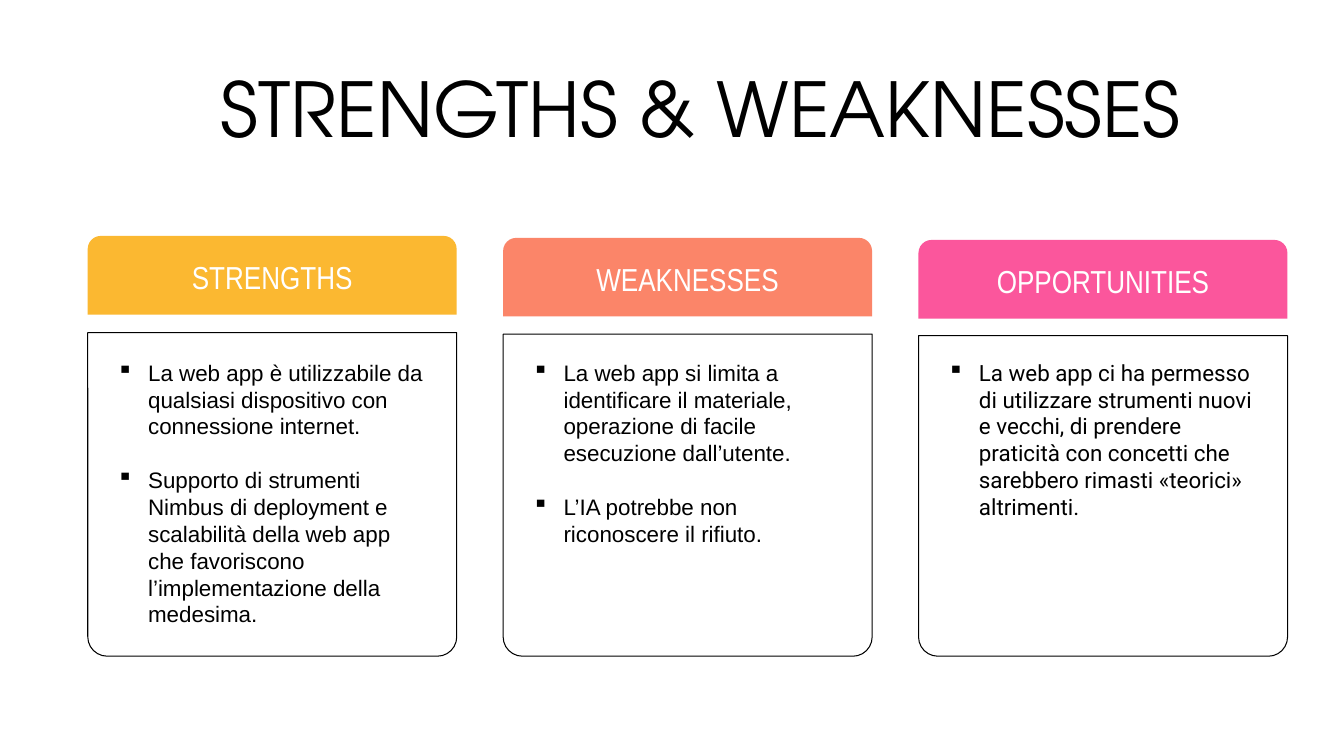
from lxml import etree
from pptx import Presentation, util as u
from pptx.dml.color import RGBColor
from pptx.enum import shapes, text
from pptx.oxml import ns

prs = Presentation()
prs.slide_width, prs.slide_height = u.Inches(13.33), u.Inches(7.5)
s = prs.slides.add_slide(prs.slide_layouts[6])


def rgb(value):
    return RGBColor.from_string(value)


def write(sp, lines, font, size, color, centred=True):
    """Fill a shape with paragraphs and return them."""
    tf = sp.text_frame
    tf.word_wrap = True
    tf.margin_left = tf.margin_right = tf.margin_top = tf.margin_bottom = u.Inches(0.13)
    tf.vertical_anchor = text.MSO_ANCHOR.MIDDLE if centred else text.MSO_ANCHOR.TOP
    tf.text = "\n".join(lines)
    for p in tf.paragraphs:
        p.alignment = text.PP_ALIGN.CENTER if centred else text.PP_ALIGN.LEFT
        p.font.name, p.font.size = font, u.Pt(size)
        p.font.color.rgb = rgb(color)
    return tf.paragraphs


# Column grid
left, pitch, width = 0.87, 4.12, 3.66
head_top, head_height, head_step = 2.34, 0.78, 0.02
card_top, card_bottom, card_step = 3.3, 6.51, 0.015
inset, text_top, text_height = 0.16, 3.43, 2.73
indent, line_pitch = 0.31, 19.2

columns = [
    ("STRENGTHS", "FBB831", "Arial", [
        "La web app è utilizzabile da qualsiasi dispositivo con connessione internet.",
        "Supporto di strumenti Nimbus di deployment e scalabilità della web app "
        "che favoriscono l’implementazione della medesima."]),
    ("WEAKNESSES", "FB8569", "Arial", [
        "La web app si limita a identificare il materiale, operazione di facile "
        "esecuzione dall’utente.",
        "L’IA potrebbe non riconoscere il rifiuto."]),
    ("OPPORTUNITIES", "FB569C", "Roboto", [
        "La web app ci ha permesso di utilizzare strumenti nuovi e vecchi, di prendere "
        "praticità con concetti che sarebbero rimasti «teorici» altrimenti."]),
]

# Title
title = s.shapes.add_textbox(u.Inches(left), u.Inches(0.46), u.Inches(12.16), u.Inches(1.21))
write(title, ["STRENGTHS & WEAKNESSES"], "TeX Gyre Adventor", 54, "000000")

for i, (heading, color, font, points) in enumerate(columns):
    x = left + i * pitch

    # Card outline, rounded at the bottom
    top = card_top + i * card_step
    card = s.shapes.add_shape(shapes.MSO_SHAPE.ROUND_2_SAME_RECTANGLE, u.Inches(x),
                              u.Inches(top), u.Inches(width), u.Inches(card_bottom - top))
    card.rotation = 180
    card.adjustments[0] = 0.06
    card.shadow.inherit = False
    card.fill.background()
    card.line.color.rgb = rgb("000000")
    card.line.width = u.Pt(0.75)

    # Bulleted points
    body = s.shapes.add_textbox(u.Inches(x + inset), u.Inches(text_top),
                                u.Inches(width - 2 * inset), u.Inches(text_height))
    for n, p in enumerate(write(body, points, font, 16, "000000", centred=False)):
        p.line_spacing = u.Pt(line_pitch)
        p.space_before = u.Pt(line_pitch if n else 0)
        pPr = p._p.get_or_add_pPr()
        pPr.set("marL", str(u.Inches(indent)))
        pPr.set("indent", str(-u.Inches(indent)))
        bullet = etree.Element(ns.qn("a:buChar"), char="▪")
        pPr.find(ns.qn("a:defRPr")).addprevious(bullet)

    # Header, rounded at the top
    head = s.shapes.add_shape(shapes.MSO_SHAPE.ROUND_2_SAME_RECTANGLE, u.Inches(x),
                              u.Inches(head_top + i * head_step),
                              u.Inches(width), u.Inches(head_height))
    head.shadow.inherit = False
    head.fill.solid()
    head.fill.fore_color.rgb = rgb(color)
    head.line.fill.background()
    write(head, [heading], "Arial Narrow", 22.7, "FFFFFF")

prs.save("out.pptx")
